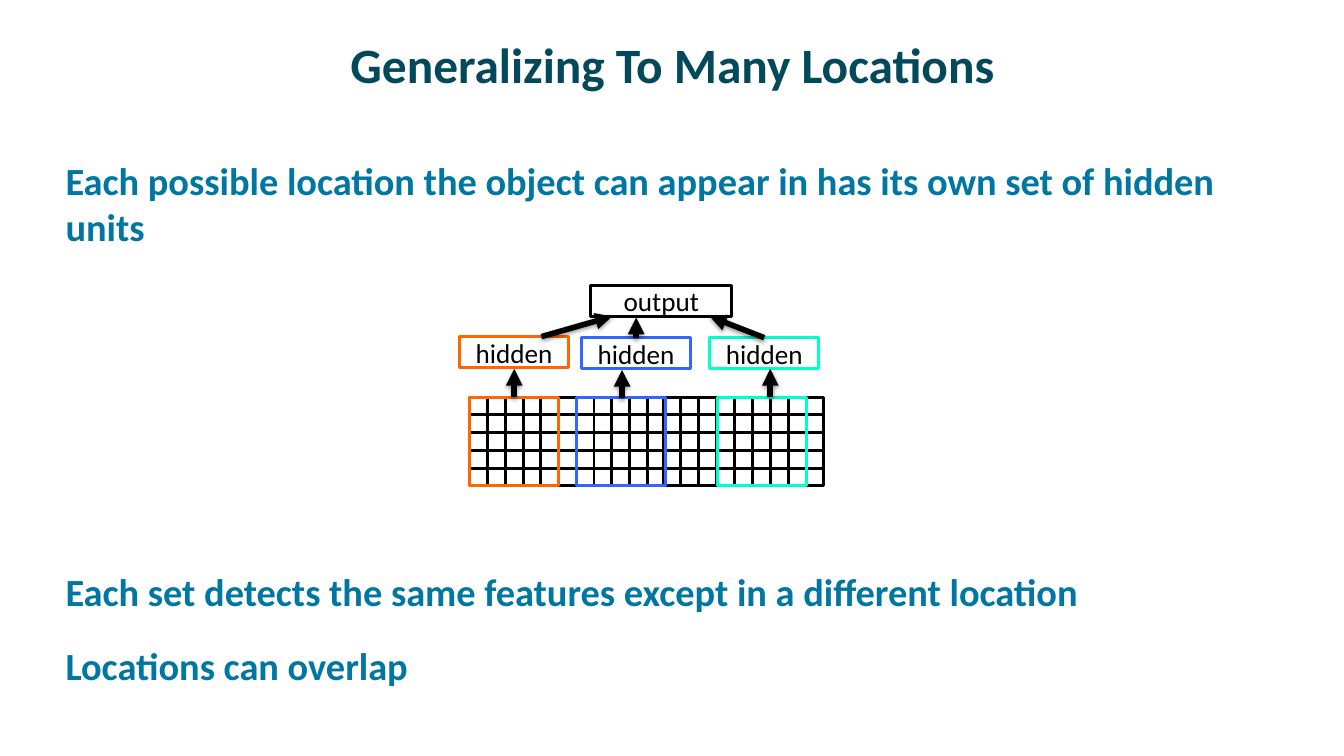
from dataclasses import dataclass
from itertools import product
from typing import Any, Optional

from lxml.etree import SubElement
from pptx import Presentation
from pptx.dml.color import RGBColor
from pptx.enum.shapes import MSO_CONNECTOR, MSO_SHAPE
from pptx.enum.text import MSO_ANCHOR, MSO_AUTO_SIZE, PP_ALIGN
from pptx.oxml.ns import qn
from pptx.util import Inches, Pt

# Colours
DARK_TEAL = RGBColor(0x03, 0x49, 0x5C)
TEAL = RGBColor(0x00, 0x76, 0xA3)
BLACK = RGBColor(0x00, 0x00, 0x00)
WHITE = RGBColor(0xFF, 0xFF, 0xFF)
ORANGE = RGBColor(0xFF, 0x66, 0x00)
BLUE = RGBColor(0x33, 0x66, 0xFF)
MINT = RGBColor(0x00, 0xFF, 0xCA)

# Input grid: blocks of 5 by 5 cells
BLOCK_SIZE = 0.88
CELLS_PER_SIDE = 5
CELL_SIZE = BLOCK_SIZE / CELLS_PER_SIDE
BLOCK_TOP = 3.94
BLOCK_LEFTS = (4.66, 6.4, 5.54, 7.29)
BOX_HEIGHT = 0.31


@dataclass(frozen=True)
class Box:
    left: float
    top: float
    width: float
    height: float
    line: RGBColor
    fill: Optional[RGBColor] = WHITE
    label: str = ""


@dataclass(frozen=True)
class Arrow:
    start: tuple[float, float]
    end: tuple[float, float]


@dataclass(frozen=True)
class BodyLine:
    text: str
    space_before: float


FRAMES = [
    Box(left, BLOCK_TOP, BLOCK_SIZE, BLOCK_SIZE, color, None)
    for left, color in ((4.66, ORANGE), (5.72, BLUE), (7.12, MINT))
]
UNITS = [
    Box(left, top, 1.08, BOX_HEIGHT, color, label="hidden")
    for left, top, color in ((4.56, 3.34, ORANGE), (5.77, 3.35, BLUE), (7.04, 3.35, MINT))
] + [Box(5.86, 2.83, 1.4, BOX_HEIGHT, BLACK, label="output")]
ARROWS = [
    Arrow((5.37, 3.34), (6.07, 3.14)),
    Arrow((6.31, 3.35), (6.31, 3.15)),
    Arrow((7.58, 3.35), (7.04, 3.14)),
    Arrow((5.1, 3.94), (5.1, 3.66)),
    Arrow((6.17, 3.95), (6.17, 3.67)),
    Arrow((7.64, 3.94), (7.64, 3.66)),
]
BODY_LINES = [
    BodyLine("Each possible location the object can appear in has its own set of hidden units", 19.5),
    BodyLine("Each set detects the same features except in a different location", 228),
    BodyLine("Locations can overlap", 19.5),
]

TITLE_FONT = {"name": "Calibri", "size": Pt(35.3), "bold": True}
BODY_FONT = {"name": "Calibri", "size": Pt(27.4), "bold": True}
LABEL_FONT = {"name": "Calibri", "size": Pt(19.4), "bold": False}


def set_attributes(target: Any, values: dict[str, Any]) -> None:
    for name, value in values.items():
        setattr(target, name, value)


def add_text(paragraph: Any, text: str, font: dict[str, Any], color: RGBColor) -> None:
    run = paragraph.add_run()
    run.text = text
    set_attributes(run.font, font)
    run.font.color.rgb = color


def format_frame(text_frame: Any, side: float, end: float, anchor: MSO_ANCHOR) -> None:
    set_attributes(text_frame, {
        "margin_left": Inches(side), "margin_right": Inches(side),
        "margin_top": Inches(end), "margin_bottom": Inches(end),
        "vertical_anchor": anchor, "word_wrap": True,
        "auto_size": MSO_AUTO_SIZE.NONE,
    })


def place(shape: Any, left: float, top: float, width: float, height: float) -> None:
    set_attributes(shape, {"left": Inches(left), "top": Inches(top),
                           "width": Inches(width), "height": Inches(height)})


def fill_title(title: Any) -> None:
    place(title, 0.67, 0.17, 12, 0.92)
    format_frame(title.text_frame, 0.11, 0.06, MSO_ANCHOR.MIDDLE)
    paragraph = title.text_frame.paragraphs[0]
    paragraph.alignment = PP_ALIGN.CENTER
    add_text(paragraph, "Generalizing To Many Locations", TITLE_FONT, DARK_TEAL)


def fill_body(body: Any) -> None:
    place(body, 0.44, 1.5, 12.22, 5.2)
    format_frame(body.text_frame, 0.11, 0.06, MSO_ANCHOR.TOP)
    for index, line in enumerate(BODY_LINES):
        paragraph = body.text_frame.paragraphs[0] if index == 0 else body.text_frame.add_paragraph()
        paragraph.space_before = Pt(line.space_before)
        properties = paragraph._p.get_or_add_pPr()
        properties.set("marL", str(Inches(0.1)))
        properties.set("indent", "0")
        SubElement(properties, qn("a:buNone"))
        add_text(paragraph, line.text, BODY_FONT, TEAL)


def draw_box(shapes: Any, box: Box) -> None:
    shape = shapes.add_shape(MSO_SHAPE.RECTANGLE, Inches(box.left), Inches(box.top),
                             Inches(box.width), Inches(box.height))
    shape.shadow.inherit = False
    shape.line.color.rgb = box.line
    shape.line.width = Pt(2)
    if box.fill is None:
        shape.fill.background()
    else:
        shape.fill.solid()
        shape.fill.fore_color.rgb = box.fill
    if box.label:
        format_frame(shape.text_frame, 0, 0, MSO_ANCHOR.MIDDLE)
        paragraph = shape.text_frame.paragraphs[0]
        paragraph.alignment = PP_ALIGN.CENTER
        add_text(paragraph, box.label, LABEL_FONT, BLACK)


def draw_block(shapes: Any, left: float) -> None:
    group = shapes.add_group_shape()
    for row, column in product(range(CELLS_PER_SIDE), repeat=2):
        draw_box(group.shapes, Box(left + column * CELL_SIZE, BLOCK_TOP + row * CELL_SIZE,
                                   CELL_SIZE, CELL_SIZE, BLACK))


def draw_arrow(shapes: Any, arrow: Arrow) -> None:
    points = [Inches(value) for value in arrow.start + arrow.end]
    connector = shapes.add_connector(MSO_CONNECTOR.STRAIGHT, *points)
    connector.line.color.rgb = BLACK
    connector.line.width = Pt(4)
    SubElement(connector.line._get_or_add_ln(), qn("a:tailEnd"), type="triangle")
    # Soft shadow straight below the arrow
    effects = SubElement(connector._element.spPr, qn("a:effectLst"))
    shadow = SubElement(effects, qn("a:outerShdw"), blurRad=str(Pt(3.1)), dist=str(Pt(1.6)),
                        dir="5400000", rotWithShape="0")
    shadow_color = SubElement(shadow, qn("a:srgbClr"), val=str(BLACK))
    SubElement(shadow_color, qn("a:alpha"), val="38000")


def main() -> None:
    presentation = Presentation()
    presentation.slide_width = Inches(13.33)
    presentation.slide_height = Inches(7.5)
    slide = presentation.slides.add_slide(presentation.slide_layouts[1])

    # Title and statements
    fill_title(slide.shapes.title)
    fill_body(slide.placeholders[1])

    # Network diagram
    for left in BLOCK_LEFTS:
        draw_block(slide.shapes, left)
    for box in FRAMES + UNITS:
        draw_box(slide.shapes, box)
    for arrow in ARROWS:
        draw_arrow(slide.shapes, arrow)

    presentation.save("out.pptx")


if __name__ == "__main__":
    main()
